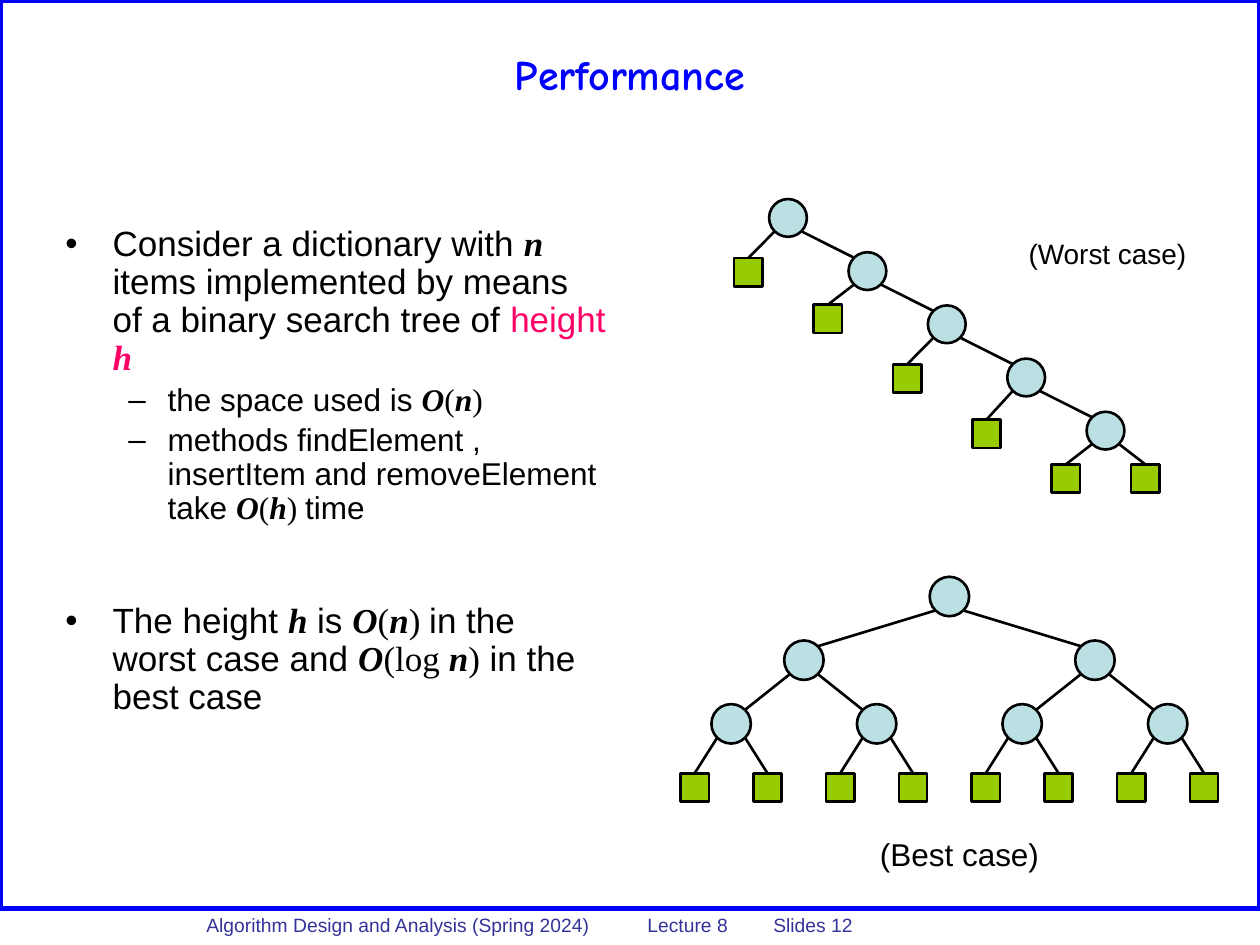
from dataclasses import dataclass
from math import sqrt

from lxml.etree import SubElement
from pptx import Presentation
from pptx.dml.color import RGBColor
from pptx.enum.shapes import MSO_CONNECTOR, MSO_SHAPE
from pptx.enum.text import MSO_ANCHOR, PP_ALIGN
from pptx.oxml.ns import qn
from pptx.util import Inches, Pt

BLUE = RGBColor(0x00, 0x00, 0xFF)
NAVY = RGBColor(0x33, 0x33, 0x99)
PINK = RGBColor(0xFF, 0x00, 0x66)
BLACK = RGBColor(0x00, 0x00, 0x00)
NODE_FILL = RGBColor(0xBB, 0xE0, 0xE3)
LEAF_FILL = RGBColor(0x99, 0xCC, 0x00)

# The grid has 100 columns and 75 rows of square cells
CELL = 0.1
LEAF_SIZE = 2.25

MATH = dict(font="Times New Roman", bold=True, italic=True)
ROMAN = dict(font="Times New Roman")


@dataclass
class Box:
    left: float
    top: float
    width: float
    height: float

    def place(self):
        return [cells(v) for v in (self.left, self.top, self.width, self.height)]


def cells(count):
    return Inches(count * CELL)


def write(para, text, font="Arial", size=18, color=BLACK, bold=False, italic=False):
    span = para.add_run()
    span.text = text
    span.font.name = font
    span.font.size = Pt(size)
    span.font.color.rgb = color
    span.font.bold = bold
    span.font.italic = italic


def add_frame(page, box, wrap=True, anchor=MSO_ANCHOR.TOP):
    frame = page.shapes.add_textbox(*box.place()).text_frame
    frame.word_wrap = wrap
    frame.vertical_anchor = anchor
    return frame


def add_line_of_text(page, box, text, wrap=True, anchor=MSO_ANCHOR.TOP, **style):
    para = add_frame(page, box, wrap, anchor).paragraphs[0]
    para.alignment = PP_ALIGN.CENTER
    write(para, text, **style)


def set_indent(para, left, hanging):
    properties = para._p.get_or_add_pPr()
    properties.set("marL", str(cells(left)))
    properties.set("indent", str(-cells(hanging)))
    return properties


def add_border(page, box):
    border = page.shapes.add_shape(MSO_SHAPE.RECTANGLE, *box.place())
    border.shadow.inherit = False
    border.fill.background()
    border.line.color.rgb = BLUE
    border.line.width = Pt(3)


def add_footer(page, box, entries, tabs):
    para = add_frame(page, box).paragraphs[0]
    properties = set_indent(para, 2.1, 0)
    stops = SubElement(properties, qn("a:tabLst"))
    for tab in tabs:
        SubElement(stops, qn("a:tab"), pos=str(cells(tab)), algn="l")
    write(para, "\t".join(entries), size=11, color=NAVY)


def add_body(page, box, items):
    frame = add_frame(page, box)
    for index, (level, gap, spans) in enumerate(items):
        para = frame.add_paragraph() if index else frame.paragraphs[0]
        left, hanging, mark, size = ((3.75, 3.75, "•", 20), (8.13, 3.13, "–", 18))[level]
        properties = set_indent(para, left, hanging)
        SubElement(properties, qn("a:buFont"), typeface="Arial")
        SubElement(properties, qn("a:buChar"), char=mark)
        para.level = level
        para.line_spacing = 0.9
        para.space_before = Pt(gap)
        for text, style in spans:
            write(para, text, size=size, **style)


def add_mark(shapes, kind, center, size, fill):
    x, y = center
    box = Box(x - size / 2, y - size / 2, size, size)
    mark = shapes.add_shape(kind, *box.place())
    mark.shadow.inherit = False
    mark.fill.solid()
    mark.fill.fore_color.rgb = fill
    mark.line.color.rgb = BLACK
    mark.line.width = Pt(1.5)


def add_edge(shapes, parent, child, node_size, to_leaf):
    """Join the parent's lower diagonal to a leaf's top or a node's upper diagonal."""
    reach = node_size / 2 / sqrt(2)
    side = 1 if child[0] > parent[0] else -1
    start = parent[0] + side * reach, parent[1] + reach
    if to_leaf:
        end = child[0], child[1] - LEAF_SIZE / 2
    else:
        end = child[0] - side * reach, child[1] - reach
    edge = shapes.add_connector(MSO_CONNECTOR.STRAIGHT, *map(cells, start + end))
    edge.line.color.rgb = BLACK
    edge.line.width = Pt(1.5)
    SubElement(edge._element.spPr, qn("a:effectLst"))


def draw_tree(page, nodes, leaves, edges, node_size):
    shapes = page.shapes.add_group_shape().shapes
    for parent, child in edges:
        add_edge(shapes, parent, child, node_size, child in leaves)
    for center in nodes:
        add_mark(shapes, MSO_SHAPE.OVAL, center, node_size, NODE_FILL)
    for center in leaves:
        add_mark(shapes, MSO_SHAPE.RECTANGLE, center, LEAF_SIZE, LEAF_FILL)


def add_chain_tree(page, box, leaf_drops):
    """Every node has a leaf on its left; the last one also on its right."""
    count = len(leaf_drops)
    column, row = box.width / (2 * count + 1), box.height / (count + 1)
    nodes = [(box.left + (2 * i + 1.5) * column, box.top + (i + 0.5) * row)
             for i in range(count)]
    leaves = [(x - column, y + drop * row) for (x, y), drop in zip(nodes, leaf_drops)]
    edges = list(zip(nodes, leaves)) + list(zip(nodes, nodes[1:]))
    last = nodes[-1][0] + column, leaves[-1][1]
    draw_tree(page, nodes, leaves + [last], edges + [(nodes[-1], last)], 3)


def add_full_tree(page, box, depth):
    """Each level splits the width into twice as many equal slots."""
    row = box.height / depth
    levels = [[(box.left + (i + 0.5) * box.width / 2 ** level, box.top + (level + 0.5) * row)
               for i in range(2 ** level)] for level in range(depth)]
    edges = [(upper[i // 2], child) for upper, lower in zip(levels, levels[1:])
             for i, child in enumerate(lower)]
    draw_tree(page, sum(levels[:-1], []), levels[-1], edges, 3.13)


def main():
    deck = Presentation()
    deck.slide_width, deck.slide_height = cells(100), cells(75)
    page = deck.slides.add_slide(deck.slide_layouts[6])

    # Frame, footer and title
    add_border(page, Box(0, 0, 100, 72.1))
    add_footer(page, Box(13.3, 72, 86.7, 2.6),
               ["Algorithm Design and Analysis (Spring 2024)", "Lecture 8", "Slides 12"],
               tabs=(48.95, 71))
    add_line_of_text(page, Box(5, 1.7, 90, 8.3), "Performance", anchor=MSO_ANCHOR.MIDDLE,
                     font="Comic Neue", size=24, color=BLUE, bold=True)

    # Bulleted text
    add_body(page, Box(4.2, 17.5, 45, 50), [
        (0, 0, [("Consider a dictionary with ", {}), ("n", MATH),
                (" items implemented by means of a binary search tree of ", {}),
                ("height ", dict(color=PINK)), ("h", dict(MATH, color=PINK))]),
        (1, 3.6, [("the space used is ", {}), ("O", MATH), ("(", ROMAN), ("n", MATH),
                  (")", ROMAN)]),
        (1, 3.6, [("methods findElement , insertItem and removeElement take ", {}),
                  ("O", MATH), ("(", ROMAN), ("h", MATH), (") ", ROMAN), ("time", {})]),
        (0, 44, [("The height ", {}), ("h", MATH), (" is ", {}), ("O", MATH), ("(", ROMAN),
                 ("n", MATH), (") ", ROMAN), ("in the worst case and ", {}), ("O", MATH),
                 ("(log ", ROMAN), ("n", MATH), (")", ROMAN), (" in the best case", {})]),
    ])

    # Trees and their captions
    add_chain_tree(page, Box(57.82, 15.19, 34.65, 25.32), (1.02, 0.9, 1.02, 1.06, 0.9))
    add_full_tree(page, Box(52.25, 44.82, 46.2, 20.2), depth=4)
    add_line_of_text(page, Box(78.3, 18.3, 19.2, 3.7), "(Worst case)", size=16)
    add_line_of_text(page, Box(68.8, 65.8, 14.7, 4), "(Best case)", wrap=False)

    deck.save("out.pptx")


if __name__ == "__main__":
    main()
